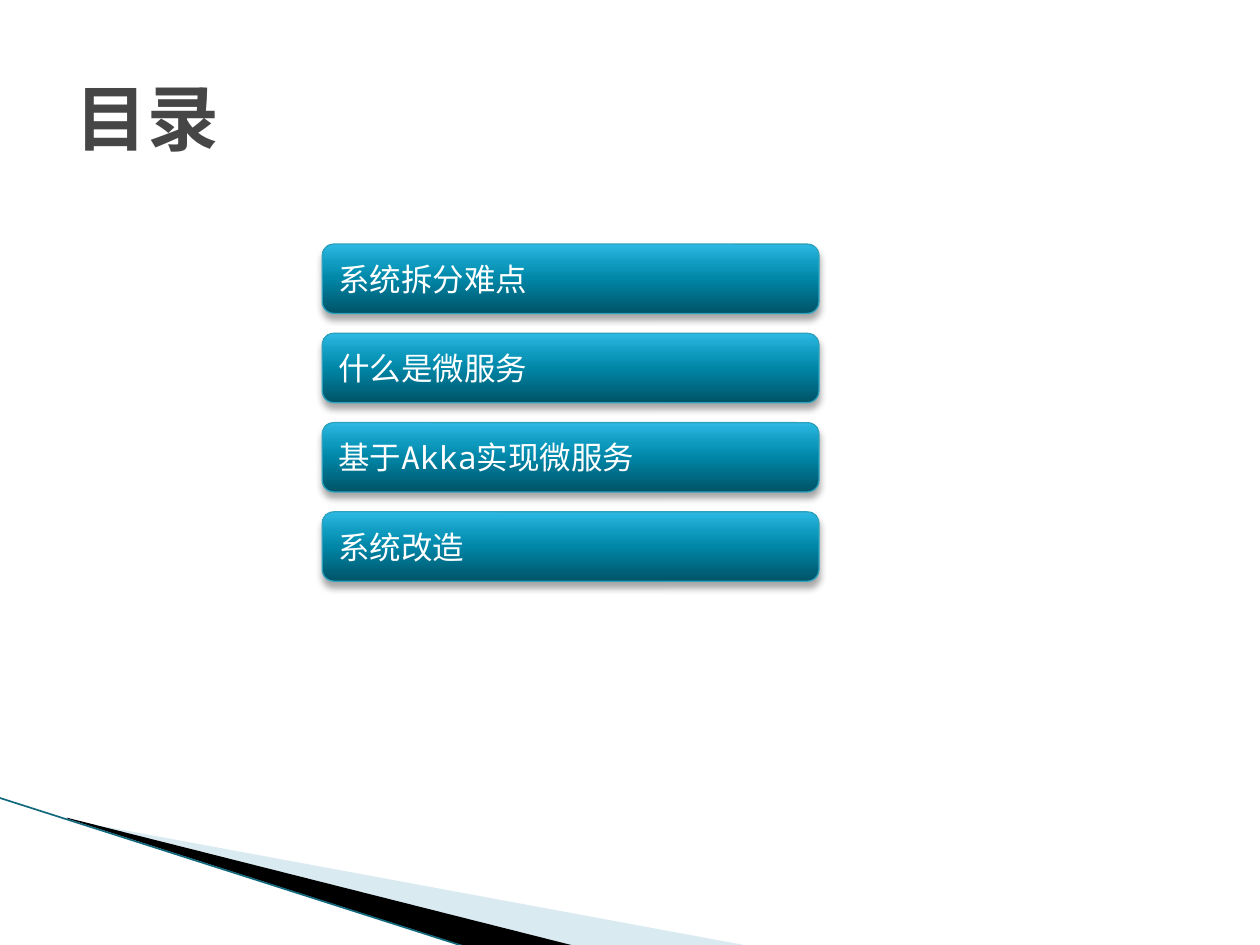
from lxml.etree import SubElement
from pptx import Presentation
from pptx.dml.color import RGBColor
from pptx.enum.lang import MSO_LANGUAGE_ID
from pptx.enum.shapes import MSO_CONNECTOR, MSO_SHAPE
from pptx.enum.text import MSO_ANCHOR, PP_ALIGN
from pptx.oxml import parse_xml
from pptx.oxml.ns import nsdecls, qn
from pptx.util import Pt

FONT = "Noto Sans Mono"
COLORS = {
    "title": "464646",
    "item_text": "FFFFFF",
    "item_line": "2DA2BF",
    "shadow": "000000",
    "pale_wedge": "A0CBDC",
    "dark_wedge": "000000",
    "edge": "12687D",
}
ITEM_GRADIENT = [(0, "005367"), (50, "0086A7"), (70, "0E9ABE"), (100, "2CB9E3")]
ITEMS = ["系统拆分难点", "什么是微服务", "基于Akka实现微服务", "系统改造"]
ITEM_LEFT, ITEM_TOP, ITEM_WIDTH, ITEM_HEIGHT, ITEM_PITCH = 184.2, 139.5, 283.8, 39.6, 51


def color(name):
    return RGBColor.from_string(COLORS[name])


def write_text(shape, text, color_name, **font_format):
    frame = shape.text_frame
    for name, value in {"word_wrap": True, "vertical_anchor": MSO_ANCHOR.MIDDLE}.items():
        setattr(frame, name, value)
    paragraph = frame.paragraphs[0]
    paragraph.alignment = PP_ALIGN.LEFT
    run = paragraph.add_run()
    run.text = text
    run.font.color.rgb = color(color_name)
    font_format.update(name=FONT, language_id=MSO_LANGUAGE_ID.SIMPLIFIED_CHINESE)
    for name, value in font_format.items():
        setattr(run.font, name, value)
    # East Asian typeface
    SubElement(run.font._element, qn("a:ea")).set("typeface", FONT)


def add_wedge(slide, points, color_name, opacity=100):
    start, *others = [(Pt(x), Pt(y)) for x, y in points]
    builder = slide.shapes.build_freeform(*start)
    builder.add_line_segments(others, close=True)
    shape = builder.convert_to_shape()
    shape.shadow.inherit = False
    shape.line.fill.background()
    shape.fill.solid()
    shape.fill.fore_color.rgb = color(color_name)
    if opacity < 100:
        fill_color = shape._element.spPr.find(".//" + qn("a:srgbClr"))
        SubElement(fill_color, qn("a:alpha")).set("val", str(opacity * 1000))


def add_edge(slide, start, end):
    edge = slide.shapes.add_connector(
        MSO_CONNECTOR.STRAIGHT, *[Pt(value) for value in (*start, *end)])
    edge.line.color.rgb = color("edge")
    edge.line.width = Pt(0.95)
    SubElement(edge._element.spPr, qn("a:effectLst"))


def add_title(slide, text):
    title = slide.shapes.add_textbox(Pt(36), Pt(21.6), Pt(648), Pt(90))
    write_text(title, text, "title", size=Pt(41), bold=True)


def add_item(slide, text, top):
    item = slide.shapes.add_shape(
        MSO_SHAPE.ROUNDED_RECTANGLE, Pt(ITEM_LEFT), Pt(top), Pt(ITEM_WIDTH), Pt(ITEM_HEIGHT))
    item.line.color.rgb = color("item_line")
    item.line.width = Pt(0.75)
    # Gradient running from bottom to top
    stops = "".join(
        f'<a:gs pos="{position * 1000}"><a:srgbClr val="{value}"/></a:gs>'
        for position, value in ITEM_GRADIENT)
    properties = item._element.spPr
    properties.find(qn("a:ln")).addprevious(parse_xml(
        f'<a:gradFill {nsdecls("a")} rotWithShape="1"><a:gsLst>{stops}</a:gsLst>'
        '<a:lin ang="16200000" scaled="0"/></a:gradFill>'))
    # Soft shadow straight below
    properties.append(parse_xml(
        f'<a:effectLst {nsdecls("a")}><a:outerShdw blurRad="{Pt(4)}" dist="{Pt(3)}" '
        f'dir="5400000" rotWithShape="0"><a:srgbClr val="{COLORS["shadow"]}">'
        '<a:alpha val="35000"/></a:srgbClr></a:outerShdw></a:effectLst>'))
    write_text(item, text, "item_text", size=Pt(18))


def main():
    presentation = Presentation()
    presentation.slide_width, presentation.slide_height = Pt(720), Pt(540)
    slide = presentation.slides.add_slide(presentation.slide_layouts[6])

    # Corner decoration
    add_wedge(slide, [(39.6, 468.6), (428.4, 540.6), (328.3, 540.6), (39.6, 468)],
              "pale_wedge", opacity=40)
    add_wedge(slide, [(38.2, 467.3), (329, 540.7), (267.8, 541.4), (38.9, 468)], "dark_wedge")
    add_edge(slide, (-0.7, 455.8), (267.1, 541.4))

    # Title and contents
    add_title(slide, "目录")
    for index, text in enumerate(ITEMS):
        add_item(slide, text, ITEM_TOP + index * ITEM_PITCH)

    presentation.save("out.pptx")


main()
